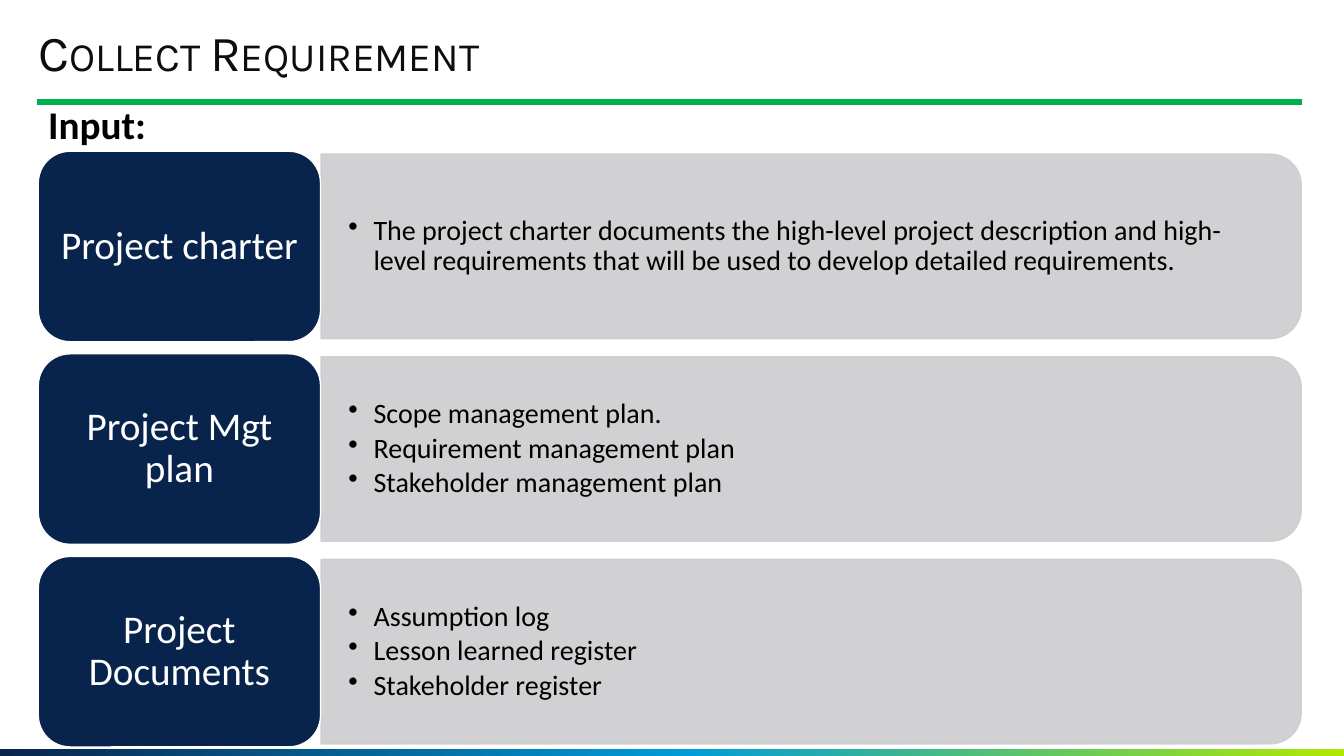
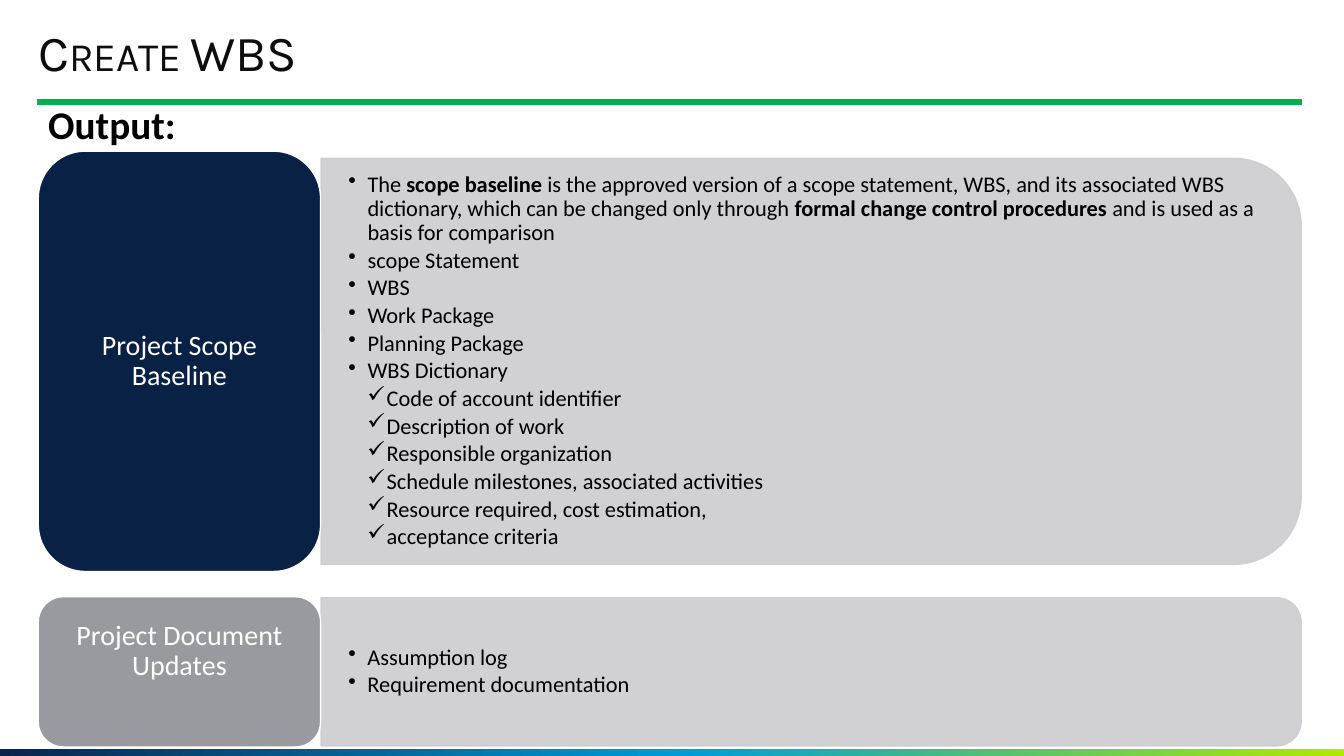
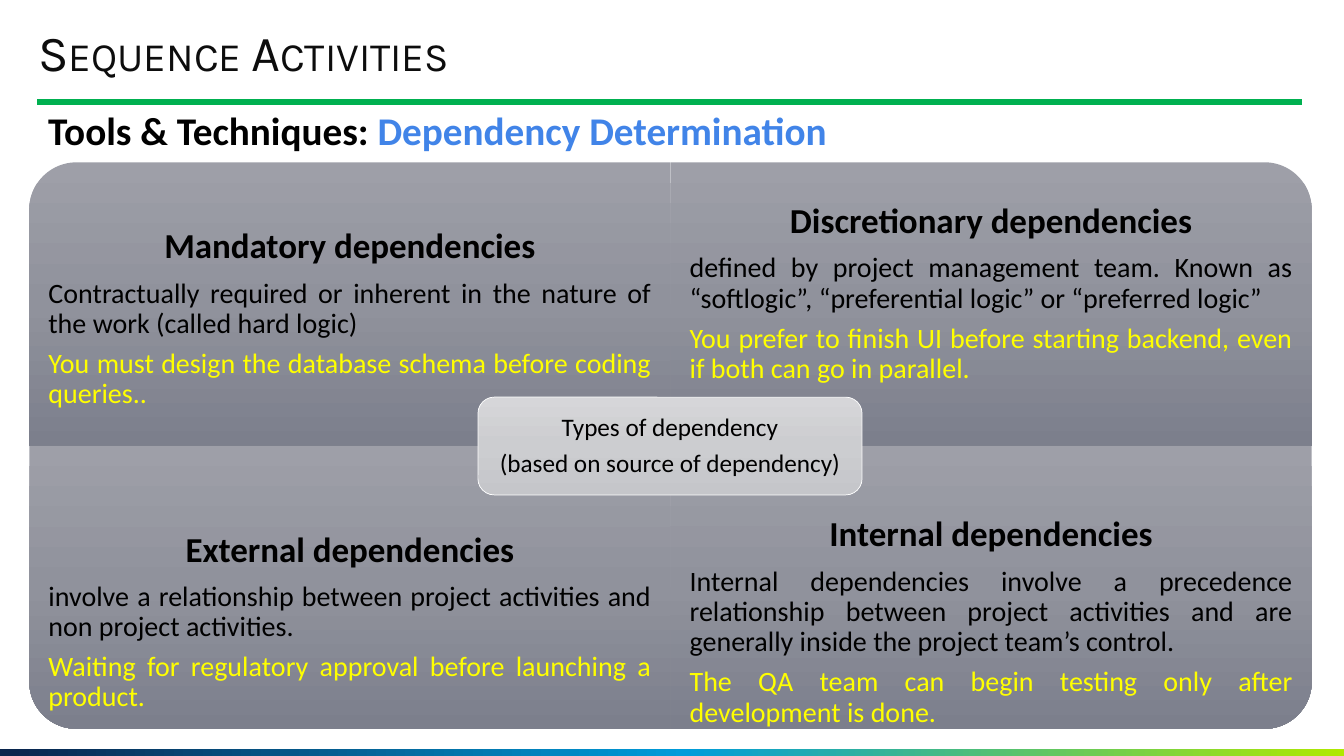
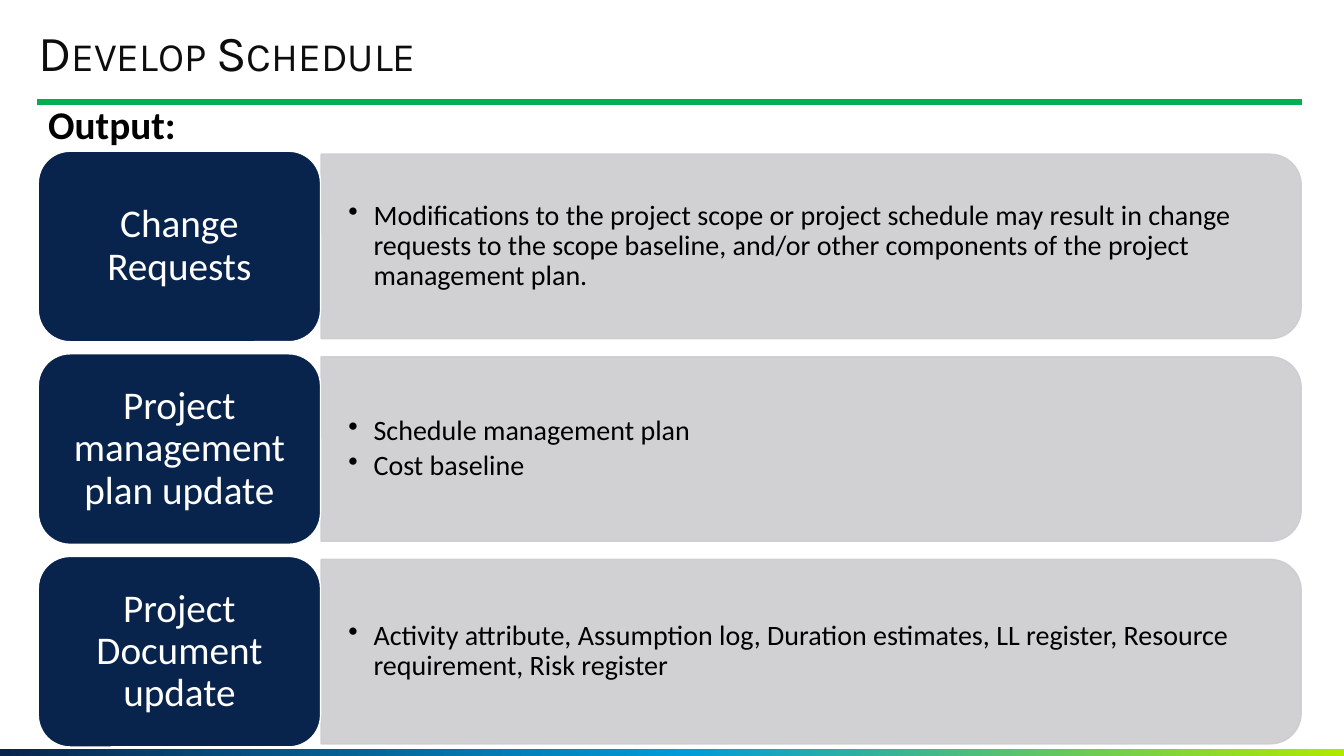
from lxml.etree import SubElement
from pptx import Presentation
from pptx.dml.color import RGBColor
from pptx.enum.shapes import MSO_CONNECTOR, MSO_SHAPE
from pptx.enum.text import MSO_ANCHOR, MSO_AUTO_SIZE, PP_ALIGN
from pptx.oxml.ns import qn
from pptx.util import Pt

PX = 9144  # 100 px to the inch
SLIDE_W, SLIDE_H = 1333, 750

BLACK = RGBColor(0x00, 0x00, 0x00)
WHITE = RGBColor(0xFF, 0xFF, 0xFF)
INK = RGBColor(0x0D, 0x0D, 0x0D)
NAVY = RGBColor(0x09, 0x24, 0x4C)
DEEP_NAVY = RGBColor(0x08, 0x21, 0x45)
GREY = RGBColor(0x98, 0x9A, 0x9F)
PALE = RGBColor(0xCC, 0xCD, 0xD0)
GREEN = RGBColor(0x00, 0xB0, 0x50)
BLUE = RGBColor(0x41, 0x84, 0xE8)
YELLOW = RGBColor(0xFF, 0xFF, 0x00)
BAND_STOPS = [(0, NAVY), (51, RGBColor(0x00, 0x9C, 0xDA)), (100, RGBColor(0xB0, 0xE9, 0x00))]
QUADRANT_STOPS = [(0, RGBColor(0x9E, 0x9F, 0xA8)), (50, RGBColor(0x90, 0x92, 0x9C)),
                  (100, RGBColor(0x7C, 0x7F, 0x8C))]
CENTRE_STOPS = [(0, RGBColor(0xD6, 0xD6, 0xD9)), (50, PALE), (100, RGBColor(0xC5, 0xC6, 0xCA))]

BODY_FONT, TITLE_FONT = "Calibri", "Karla"

# Text between ** is bold; a leading ✓ marks a second-level item.
# Row: label, label height, detail height, label colour, px the label text is lifted, items
LARGE = dict(label_size=28, item_size=20, indent=25, label_inset=(12, 6), gap=12, after=3)
SMALL = dict(label_size=20, item_size=16, indent=19, label_inset=(8, 4), gap=25, after=2.5)


def even_rows(*rows):
    return [(label, 189, 183, NAVY, 0, items) for label, items in rows]


REQUIREMENT_ROWS = even_rows(
    ("Project charter", ["The project charter documents the high-level project description and "
                         "high-level requirements that will be used to develop detailed requirements."]),
    ("Project Mgt plan", ["Scope management plan.", "Requirement management plan",
                          "Stakeholder management plan"]),
    ("Project Documents", ["Assumption log", "Lesson learned register", "Stakeholder register"]),
)
WBS_ROWS = [
    ("Project Scope Baseline", 417, 403, DEEP_NAVY, 0, [
        "The **scope baseline **is the approved version of a scope statement, WBS, and its associated "
        "WBS dictionary, which can be changed only through **formal change control procedures** "
        "and is used as a basis for comparison",
        "scope Statement", "WBS", "Work Package", "Planning Package", "WBS Dictionary",
        "✓Code of account identifier", "✓Description of work", "✓Responsible organization",
        "✓Schedule milestones, associated activities", "✓Resource required, cost estimation,",
        "✓acceptance criteria"]),
    ("Project Document Updates", 149, 147, GREY, 20, ["Assumption log", "Requirement documentation"]),
]
SCHEDULE_ROWS = even_rows(
    ("Change Requests", ["Modifications to the project scope or project schedule may result in change "
                         "requests to the scope baseline, and/or other components of the project "
                         "management plan."]),
    ("Project management plan update", ["Schedule management plan", "Cost baseline"]),
    ("Project Document update", ["Activity attribute, Assumption log, Duration estimates, LL register, "
                                 "Resource requirement, Risk register"]),
)

# Row by row: heading, definition, example, rotation, px the text is lowered
DEPENDENCIES = [
    ("Mandatory dependencies",
     "Contractually required or inherent in the nature of the work (called hard logic)",
     "You must design the database schema before coding queries..", 270, 50),
    ("Discretionary dependencies",
     "defined by project management team. Known as “softlogic”, “preferential logic” or “preferred logic”",
     "You prefer to finish UI before starting backend, even if both can go in parallel.", 0, 25),
    ("External dependencies",
     "involve a relationship between project activities and non project activities.",
     "Waiting for regulatory approval before launching a product.", 180, 0),
    ("Internal dependencies",
     "Internal dependencies involve a precedence relationship between project activities and are "
     "generally inside the project team’s control.",
     "The QA team can begin testing only after development is done.", 90, 0),
]
CENTRE_LINES = ["Types of dependency", "(based on source of dependency)"]


def emu(*lengths):
    return [round(length * PX) for length in lengths]


def gradient(shape, stops, angle):
    """Fill with colour stops; the angle runs clockwise and ignores the shape's rotation."""
    shape.fill.gradient()
    fill = shape.element.spPr.find(qn("a:gradFill"))
    fill.set("rotWithShape", "0")
    for child in list(fill):
        fill.remove(child)
    stop_list = SubElement(fill, qn("a:gsLst"))
    for percent, color in stops:
        stop = SubElement(stop_list, qn("a:gs"), pos=str(percent * 1000))
        SubElement(stop, qn("a:srgbClr"), val=str(color))
    SubElement(fill, qn("a:lin"), ang=str(angle * 60000), scaled="0")


def add_block(slide, kind, box, fill=None, line=None, line_width=1, rotation=0):
    """Add a preset shape that covers box once it is rotated."""
    left, top, width, height = box
    if rotation % 180:
        left, top = left + (width - height) / 2, top + (height - width) / 2
        width, height = height, width
    block = slide.shapes.add_shape(kind, *emu(left, top, width, height))
    block.rotation = rotation
    block.shadow.inherit = False
    if fill is not None:
        block.fill.solid()
        block.fill.fore_color.rgb = fill
    if line is None:
        block.line.fill.background()
    else:
        block.line.color.rgb = line
        block.line.width = Pt(line_width)
    return block


def set_frame(frame, insets, anchor=MSO_ANCHOR.MIDDLE):
    frame.word_wrap = True
    frame.auto_size = MSO_AUTO_SIZE.NONE
    frame.vertical_anchor = anchor
    (frame.margin_left, frame.margin_top,
     frame.margin_right, frame.margin_bottom) = emu(*insets)
    return frame


def add_frame(slide, box, insets, anchor=MSO_ANCHOR.MIDDLE):
    return set_frame(slide.shapes.add_textbox(*emu(*box)).text_frame, insets, anchor)


def write(frame, index, text, size, color=BLACK, align=PP_ALIGN.LEFT, after=0,
          bold=False, font=BODY_FONT, bullet=None, margin=0, hanging=0):
    paragraph = frame.paragraphs[0] if index == 0 else frame.add_paragraph()
    paragraph.alignment = align
    paragraph.line_spacing = 0.9
    paragraph.space_after = Pt(after)
    if bullet:
        props = paragraph._p.get_or_add_pPr()
        props.set("marL", str(margin * PX))
        props.set("indent", str(-hanging * PX))
        SubElement(props, qn("a:buChar"), char=bullet)
    paragraph.font.size = Pt(size)
    paragraph.font.name = font
    paragraph.font.color.rgb = color
    paragraph.font.bold = bold
    for number, part in enumerate(text.split("**")):
        run = paragraph.add_run()
        run.text = part
        if number % 2:
            run.font.bold = True
    return paragraph


def prepare_layout(layout):
    for placeholder in list(layout.placeholders):
        if placeholder.placeholder_format.idx:
            placeholder.element.getparent().remove(placeholder.element)
    title = layout.placeholders[0]
    title.left, title.top, title.width, title.height = emu(38, 27, 1119, 55)


def decorate_layout(layout, slide):
    """Draw the footer band and title rule, then move them to the layout."""
    band = add_block(slide, MSO_SHAPE.RECTANGLE, (0, 743, SLIDE_W, 7))
    gradient(band, BAND_STOPS, 0)
    rule = slide.shapes.add_connector(MSO_CONNECTOR.STRAIGHT, *emu(37, 101, 1291, 101))
    rule.line.color.rgb = GREEN
    rule.line.width = Pt(4.5)
    SubElement(rule.element.spPr, qn("a:effectLst"))
    for part in (band, rule):
        layout.shapes.element.append(part.element)


def add_headings(slide, title, subtitle, topic="", top=100):
    frame = set_frame(slide.shapes.title.text_frame, (0, 0, 0, 0))
    heading = write(frame, 0, title, 36, INK, font=TITLE_FONT)
    heading.runs[0]._r.get_or_add_rPr().set("cap", "small")
    frame = add_frame(slide, (38, top, 1253, 55), (10, 5, 10, 5), MSO_ANCHOR.TOP)
    line = write(frame, 0, subtitle, 28, bold=True)
    if topic:
        run = line.add_run()
        run.text = topic
        run.font.color.rgb = BLUE


def add_rows(slide, rows, style):
    top = 150
    for label, label_h, detail_h, color, lift, items in rows:
        detail_top = top + (label_h - detail_h) / 2
        detail = add_block(slide, MSO_SHAPE.ROUND_2_SAME_RECTANGLE,
                           (318.5, detail_top, 972, detail_h), PALE, PALE, rotation=90)
        for color_node in detail.element.spPr.iter(qn("a:srgbClr")):
            SubElement(color_node, qn("a:alpha"), val="90000")

        corner = detail_h * 0.049
        frame = add_frame(slide, (318.5, detail_top + corner, 972 - corner, detail_h - 2 * corner),
                          (27, 14, 27, 14))
        for index, item in enumerate(items):
            level = 2 if item.startswith("✓") else 1
            write(frame, index, item.lstrip("✓"), style["item_size"], after=style["after"],
                  bullet="•✓"[level - 1], margin=level * style["indent"], hanging=style["indent"])

        name = add_block(slide, MSO_SHAPE.ROUNDED_RECTANGLE, (38, top, 280, label_h), color, WHITE)
        side, edge = style["label_inset"]
        set_frame(name.text_frame, (side, edge, side, edge + 2 * lift))
        write(name.text_frame, 0, label, style["label_size"], WHITE, PP_ALIGN.CENTER)
        top += label_h + style["gap"]


def add_dependencies(slide):
    left, top, width, height = 29, 161, 636, 281
    text_h = 211
    for index, (heading, definition, example, rotation, drop) in enumerate(DEPENDENCIES):
        row, column = divmod(index, 2)
        x, y = left + column * width, top + row * height
        quadrant = add_block(slide, MSO_SHAPE.ROUND_1_RECTANGLE, (x, y, width, height),
                             rotation=rotation)
        gradient(quadrant, QUADRANT_STOPS, 90)
        text_top = y + row * (height - text_h) + drop
        frame = add_frame(slide, (x, text_top, width, text_h), (19, 19, 19, 19))
        write(frame, 0, heading, 25, align=PP_ALIGN.CENTER, after=9, bold=True)
        write(frame, 1, definition, 20, align=PP_ALIGN.JUSTIFY, after=7)
        write(frame, 2, example, 20, YELLOW, PP_ALIGN.JUSTIFY)

    centre = add_block(slide, MSO_SHAPE.ROUNDED_RECTANGLE, (474, 394, 381, 97),
                       line=WHITE, line_width=0.5)
    gradient(centre, CENTRE_STOPS, 90)
    set_frame(centre.text_frame, (7, 7, 7, 7))
    for index, text in enumerate(CENTRE_LINES):
        write(centre.text_frame, index, text, 18, align=PP_ALIGN.CENTER, after=6)


def main():
    deck = Presentation()
    deck.slide_width, deck.slide_height = emu(SLIDE_W, SLIDE_H)
    layout = deck.slide_layouts[5]
    prepare_layout(layout)
    requirement, wbs, sequence, schedule = [deck.slides.add_slide(layout) for _ in range(4)]
    decorate_layout(layout, requirement)

    add_headings(requirement, "Collect Requirement", "Input:")
    add_rows(requirement, REQUIREMENT_ROWS, LARGE)
    add_headings(wbs, "Create WBS", "Output:")
    add_rows(wbs, WBS_ROWS, SMALL)
    add_headings(sequence, "Sequence Activities", "Tools & Techniques: ",
                 "Dependency Determination", top=106)
    add_dependencies(sequence)
    add_headings(schedule, "Develop Schedule", "Output:")
    add_rows(schedule, SCHEDULE_ROWS, LARGE)
    deck.save("out.pptx")


if __name__ == "__main__":
    main()
